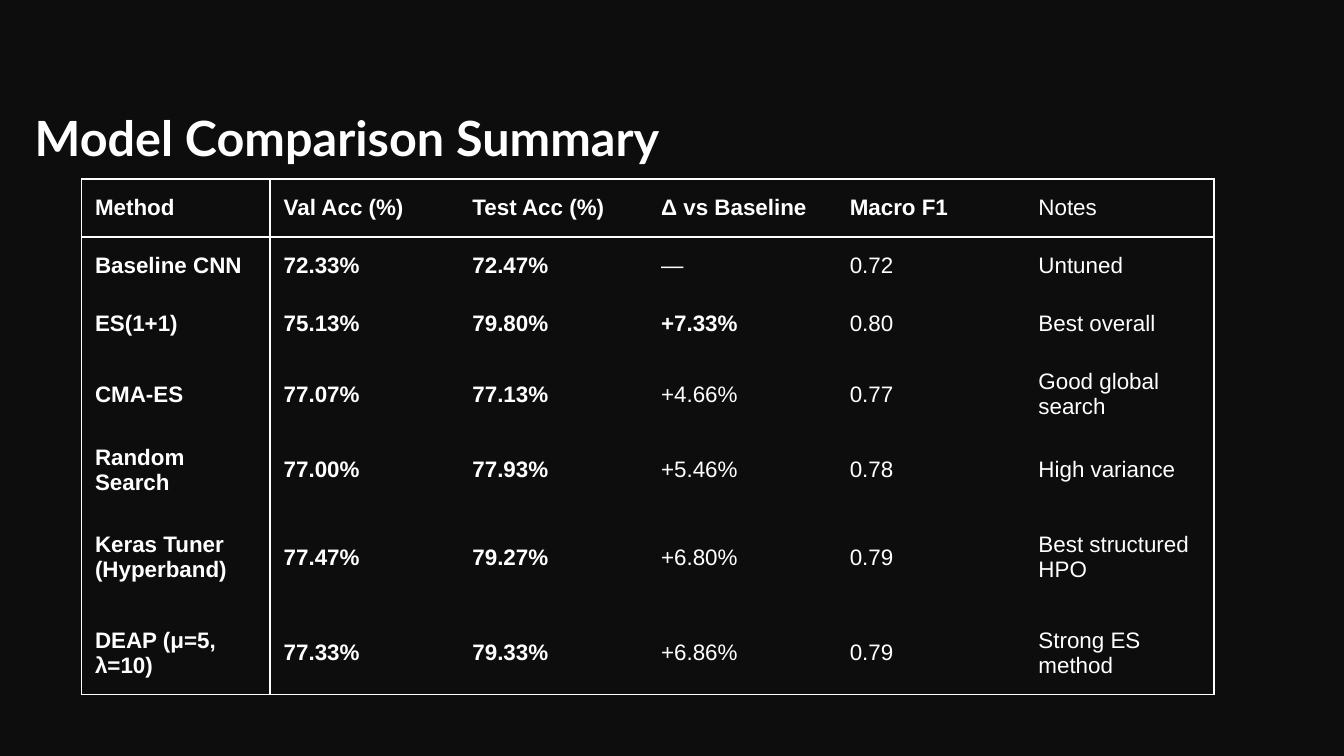
from lxml.etree import SubElement
from pptx import Presentation
from pptx.dml.color import RGBColor
from pptx.enum.text import MSO_ANCHOR
from pptx.oxml.ns import qn
from pptx.util import Pt

BACKGROUND = "0D0D0D"
WHITE = "FFFFFF"

HEADINGS = ("Method", "Val Acc (%)", "Test Acc (%)", "Δ vs Baseline", "Macro F1", "Notes")
RESULTS = [
    ("Baseline CNN", "72.33%", "72.47%", "—", "0.72", "Untuned"),
    ("ES(1+1)", "75.13%", "79.80%", "+7.33%", "0.80", "Best overall"),
    ("CMA-ES", "77.07%", "77.13%", "+4.66%", "0.77", "Good global search"),
    ("Random Search", "77.00%", "77.93%", "+5.46%", "0.78", "High variance"),
    ("Keras Tuner (Hyperband)", "77.47%", "79.27%", "+6.80%", "0.79", "Best structured HPO"),
    ("DEAP (μ=5, λ=10)", "77.33%", "79.33%", "+6.86%", "0.79", "Strong ES method"),
]
ROW_HEIGHTS = (31, 31, 31, 44.8, 31, 57.6, 44.8)
COLUMN_WIDTH = 101.1
BEST_GAIN = "+7.33%"


def color(hex_code):
    return RGBColor.from_string(hex_code)


class SlideBuilder:
    title_format = {"name": "Lato", "size": Pt(26), "bold": True}
    cell_format = {"name": "Arial", "size": Pt(12)}

    def __init__(self, slide):
        self.slide = slide
        fill = slide.background.fill
        fill.solid()
        fill.fore_color.rgb = color(BACKGROUND)

    def add_text(self, frame, text, font_format):
        run = frame.paragraphs[0].add_run()
        run.text = text
        for name, value in font_format.items():
            setattr(run.font, name, value)
        run.font.color.rgb = color(WHITE)

    def title(self, text, left, top, width, height):
        box = self.slide.shapes.add_textbox(Pt(left), Pt(top), Pt(width), Pt(height))
        frame = box.text_frame
        frame_format = {
            "word_wrap": True,
            "vertical_anchor": MSO_ANCHOR.BOTTOM,
            "margin_left": Pt(7.2),
            "margin_right": Pt(7.2),
            "margin_top": Pt(7.2),
            "margin_bottom": Pt(7.2),
        }
        for name, value in frame_format.items():
            setattr(frame, name, value)
        self.add_text(frame, text, self.title_format)

    def borders(self, cell, sides):
        """Draw the sides marked true and clear the others."""
        properties = cell._tc.get_or_add_tcPr()
        for side, drawn in sides.items():
            line = SubElement(properties, qn(f"a:ln{side}"), w=str(Pt(1)))
            if drawn:
                fill = SubElement(line, qn("a:solidFill"))
                SubElement(fill, qn("a:srgbClr"), val=WHITE)
            else:
                SubElement(line, qn("a:noFill"))

    def table(self, rows, left, top, column_width, row_heights):
        last_row, last_column = len(rows) - 1, len(rows[0]) - 1
        table = self.slide.shapes.add_table(
            len(rows), len(rows[0]), Pt(left), Pt(top),
            Pt(column_width * len(rows[0])), Pt(sum(row_heights)),
        ).table
        table.first_row = table.horz_banding = False
        for column in table.columns:
            column.width = Pt(column_width)
        for row, height in zip(table.rows, row_heights):
            row.height = Pt(height)

        for r, values in enumerate(rows):
            for c, text in enumerate(values):
                cell = table.cell(r, c)
                self.borders(cell, {
                    "L": c <= 1,
                    "R": c in (0, last_column),
                    "T": r <= 1,
                    "B": r in (0, last_row),
                })
                cell.fill.background()
                cell.vertical_anchor = MSO_ANCHOR.MIDDLE
                bold = c <= 2 or (r == 0 and c < last_column) or text == BEST_GAIN
                self.add_text(cell.text_frame, text, {**self.cell_format, "bold": bold})


def main():
    presentation = Presentation()
    presentation.slide_width, presentation.slide_height = Pt(720), Pt(405)
    builder = SlideBuilder(presentation.slides.add_slide(presentation.slide_layouts[6]))
    builder.title("Model Comparison Summary", 11.5, 10.8, 590.4, 85.7)
    builder.table([HEADINGS, *RESULTS], 43.7, 96, COLUMN_WIDTH, ROW_HEIGHTS)
    presentation.save("out.pptx")


if __name__ == "__main__":
    main()
